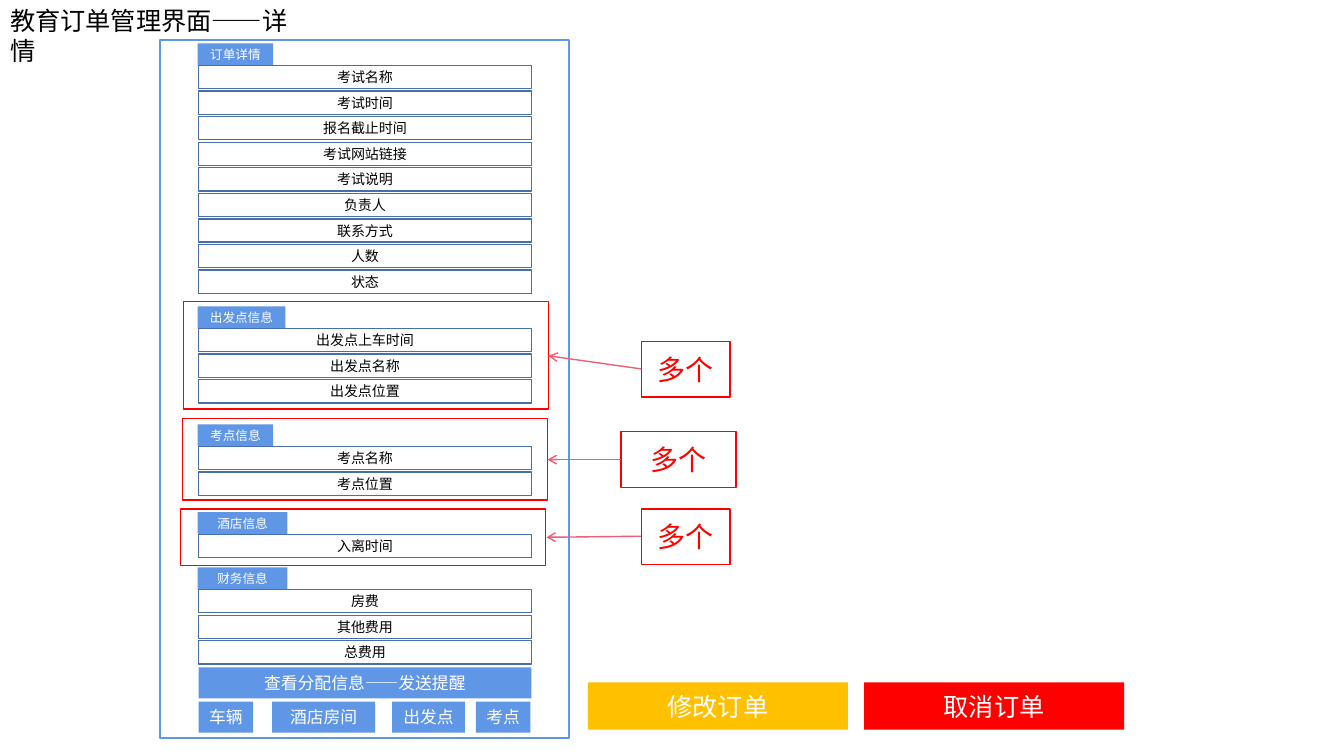
from lxml import etree
from pptx import Presentation
from pptx.dml.color import RGBColor
from pptx.enum.shapes import MSO_CONNECTOR, MSO_SHAPE
from pptx.enum.text import MSO_ANCHOR, MSO_AUTO_SIZE, PP_ALIGN
from pptx.oxml.ns import qn
from pptx.util import Inches, Pt

RECT = MSO_SHAPE.RECTANGLE
STRAIGHT = MSO_CONNECTOR.STRAIGHT
TOP, MIDDLE = MSO_ANCHOR.TOP, MSO_ANCHOR.MIDDLE
LEFT, CENTER = PP_ALIGN.LEFT, PP_ALIGN.CENTER
GROW = MSO_AUTO_SIZE.SHAPE_TO_FIT_TEXT

BLACK = RGBColor(0x00, 0x00, 0x00)
WHITE = RGBColor(0xFF, 0xFF, 0xFF)
BLUE = RGBColor(0x60, 0x96, 0xE6)
NAVY = RGBColor(0x47, 0x6F, 0xAA)
RED = RGBColor(0xFF, 0x00, 0x00)
PINK = RGBColor(0xEC, 0x5F, 0x74)
GOLD = RGBColor(0xFF, 0xC0, 0x00)

ROW_X, ROW_W, ROW_H = 1.97, 3.3, 0.23
ROW_STEP = (2.68 - 0.65) / 8
TAG_X, TAG_H = 1.96, 0.22

# tag, tag width, top of first row, rows
GROUPS = [
    ("订单详情", 0.75, 0.65, ["考试名称", "考试时间", "报名截止时间", "考试网站链接",
                          "考试说明", "负责人", "联系方式", "人数", "状态"]),
    ("出发点信息", 0.87, 3.26, ["出发点上车时间", "出发点名称", "出发点位置"]),
    ("考点信息", 0.75, 4.43, ["考点名称", "考点位置"]),
    ("酒店信息", 0.89, 5.3, ["入离时间"]),
    ("财务信息", 0.89, 5.85, ["房费", "其他费用", "总费用"]),
]

# frame box, note box, arrow start, arrow end
NOTES = [
    ((1.82, 2.99, 3.62, 1.07), (6.36, 3.39, 0.88, 0.55), (6.36, 3.66), (5.44, 3.53)),
    ((1.81, 4.15, 3.62, 0.81), (6.16, 4.28, 1.14, 0.56), (6.16, 4.56), (5.43, 4.56)),
    ((1.79, 5.05, 3.62, 0.56), (6.36, 5.05, 0.88, 0.55), (6.36, 5.32), (5.42, 5.33)),
]

# text, box, fill, size
BUTTONS = [
    ("查看分配信息——发送提醒", (ROW_X, 6.62, ROW_W, 0.31), BLUE, 12),
    ("车辆", (1.97, 6.96, 0.54, 0.31), BLUE, 12),
    ("酒店房间", (2.7, 6.96, 1.02, 0.31), BLUE, 12),
    ("出发点", (3.89, 6.96, 0.72, 0.31), BLUE, 12),
    ("考点", (4.72, 6.96, 0.54, 0.31), BLUE, 12),
    ("修改订单", (5.83, 6.77, 2.58, 0.47), GOLD, 18),
    ("取消订单", (8.57, 6.77, 2.58, 0.47), RED, 18),
]


def assign(item, values):
    for key, value in values.items():
        setattr(item, key, value)


class Page:
    font = "Arial"

    def __init__(self, slide):
        self.slide = slide

    def label(self, frame, text, size, color, align, layout):
        assign(frame, layout)
        para = frame.paragraphs[0]
        para.alignment = align
        run = para.add_run()
        run.text = text
        assign(run.font, {"name": self.font, "size": Pt(size)})
        run.font.color.rgb = color

    def title(self, text, box):
        head = self.slide.shapes.title
        assign(head, dict(zip(("left", "top", "width", "height"), map(Inches, box))))
        layout = {"word_wrap": False, "auto_size": GROW, "vertical_anchor": TOP}
        self.label(head.text_frame, text, 18, BLACK, LEFT, layout)

    def box(self, box, text="", size=10, color=BLACK, fill=None, line=None, width=1):
        shape = self.slide.shapes.add_shape(RECT, *map(Inches, box))
        shape.shadow.inherit = False
        if fill is None:
            shape.fill.background()
        else:
            shape.fill.solid()
            shape.fill.fore_color.rgb = fill
        if line is None:
            shape.line.fill.background()
        else:
            shape.line.color.rgb = line
            shape.line.width = Pt(width)
        if text:
            layout = {"word_wrap": True, "vertical_anchor": MIDDLE,
                      "margin_left": 0, "margin_right": 0}
            self.label(shape.text_frame, text, size, color, CENTER, layout)

    def arrow(self, start, end):
        link = self.slide.shapes.add_connector(STRAIGHT, *map(Inches, start + end))
        link.line.color.rgb = PINK
        link.line.width = Pt(1)
        props = link.element.spPr
        etree.SubElement(props.find(qn("a:ln")), qn("a:tailEnd"), type="arrow")
        etree.SubElement(props, qn("a:effectLst"))

    def group(self, tag, width, top, rows):
        self.box((TAG_X, top - TAG_H, width, TAG_H), tag, 9, WHITE, fill=BLUE)
        for i, text in enumerate(rows):
            self.box((ROW_X, top + i * ROW_STEP, ROW_W, ROW_H), text, line=NAVY)

    def note(self, frame, box, start, end):
        self.box(frame, line=RED)
        self.box(box, "多个", 20, RED, line=RED)
        self.arrow(start, end)


def main():
    deck = Presentation()
    deck.slide_width, deck.slide_height = Inches(13.33), Inches(7.5)
    page = Page(deck.slides.add_slide(deck.slide_layouts[5]))
    page.title("教育订单管理界面——详情", (0, 0, 3.2, 0.4))
    page.box((1.59, 0.4, 4.05, 6.92), line=BLUE, width=1.5)
    for group in GROUPS:
        page.group(*group)
    for text, box, fill, size in BUTTONS:
        page.box(box, text, size, WHITE, fill=fill)
    for note in NOTES:
        page.note(*note)
    deck.save("out.pptx")


if __name__ == "__main__":
    main()
